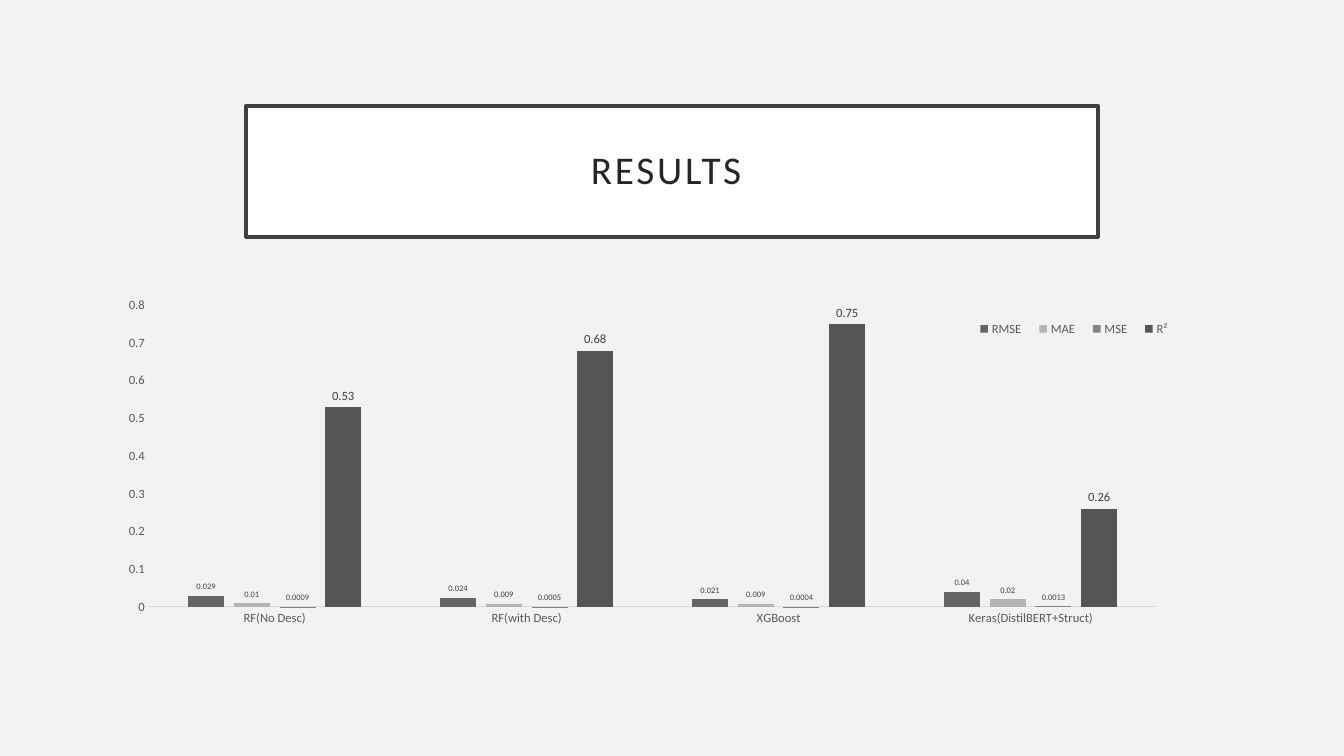
from lxml import etree
from pptx import Presentation
from pptx.chart.data import CategoryChartData
from pptx.dml.color import RGBColor
from pptx.enum.chart import XL_CHART_TYPE as ChartType
from pptx.enum.chart import XL_LABEL_POSITION as LabelPosition
from pptx.enum.chart import XL_LEGEND_POSITION as LegendPosition
from pptx.enum.chart import XL_TICK_MARK as TickMark
from pptx.enum.text import MSO_ANCHOR, PP_ALIGN
from pptx.oxml.ns import qn
from pptx.util import Inches, Pt

COLORS = {
    "background": "F2F2F2",
    "panel": "FFFFFF",
    "border": "404040",
    "title": "262626",
    "axis_text": "595959",
    "axis_line": "D9D9D9",
    "label": "404040",
}
FONT = "Calibri"
MODELS = ["RF(No Desc)", "RF(with Desc)", "XGBoost", "Keras(DistilBERT+Struct)"]
METRICS = [
    ("RMSE", [0.029, 0.024, 0.021, 0.04], "656565", 6),
    ("MAE", [0.01, 0.009, 0.009, 0.02], "B4B4B4", 6),
    ("MSE", [0.0009, 0.0005, 0.0004, 0.0013], "848484", 6),
    ("R²", [0.53, 0.68, 0.75, 0.26], "555555", 9),
]


def style_font(font, size, color):
    font.name = FONT
    font.size = Pt(size)
    font.color.rgb = RGBColor.from_string(color)


def place_part(part, index, inner, **shares):
    for old in part.findall(qn("c:layout")):
        part.remove(old)
    layout = etree.Element(qn("c:layout"))
    manual = etree.SubElement(layout, qn("c:manualLayout"))
    if inner:
        etree.SubElement(manual, qn("c:layoutTarget")).set("val", "inner")
    for mode in ("xMode", "yMode"):
        etree.SubElement(manual, qn("c:" + mode)).set("val", "edge")
    for side, share in shares.items():
        etree.SubElement(manual, qn("c:" + side)).set("val", str(share))
    part.insert(index, layout)


prs = Presentation()
prs.slide_width, prs.slide_height = Inches(13.33), Inches(7.5)
slide = prs.slides.add_slide(prs.slide_layouts[5])
slide.background.fill.solid()
slide.background.fill.fore_color.rgb = RGBColor.from_string(COLORS["background"])

title = slide.shapes.title
title.left, title.top = Inches(2.44), Inches(1.05)
title.width, title.height = Inches(8.45), Inches(1.3)
title.fill.solid()
title.fill.fore_color.rgb = RGBColor.from_string(COLORS["panel"])
title.line.color.rgb = RGBColor.from_string(COLORS["border"])
title.line.width = Pt(2.5)
frame = title.text_frame
frame.word_wrap = True
frame.vertical_anchor = MSO_ANCHOR.MIDDLE
frame.margin_left = frame.margin_right = Inches(0.2)
frame.margin_top = frame.margin_bottom = Inches(0.2)
heading = frame.paragraphs[0]
heading.alignment = PP_ALIGN.CENTER
heading.line_spacing = 0.9
heading_run = heading.add_run()
heading_run.text = "RESULTS "
style_font(heading_run.font, 28, COLORS["title"])
heading_run.font._element.set("spc", "200")

scores = CategoryChartData()
scores.categories = MODELS
for name, values, color, label_size in METRICS:
    scores.add_series(name, values)
chart = slide.shapes.add_chart(
    ChartType.COLUMN_CLUSTERED,
    Inches(1.06), Inches(2.89), Inches(11.22), Inches(3.39), scores,
).chart
chart.has_title = False
style_font(chart.font, 10, "000000")

bars = chart.plots[0]
bars.vary_by_categories = False
bars.gap_width = 219
bars.overlap = -27
for series, (name, values, color, label_size) in zip(bars.series, METRICS):
    series.format.fill.solid()
    series.format.fill.fore_color.rgb = RGBColor.from_string(color)
    series.invert_if_negative = False
    labels = series.data_labels
    labels.show_value = True
    labels.position = LabelPosition.OUTSIDE_END
    style_font(labels.font, label_size, COLORS["label"])

for axis in (chart.category_axis, chart.value_axis):
    axis.major_tick_mark = axis.minor_tick_mark = TickMark.NONE
    axis.has_major_gridlines = False
    style_font(axis.tick_labels.font, 9, COLORS["axis_text"])
model_line = chart.category_axis.format.line
model_line.color.rgb = RGBColor.from_string(COLORS["axis_line"])
model_line.width = Pt(0.75)
score_axis = chart.value_axis
score_axis.format.line.fill.background()
score_axis.minimum_scale, score_axis.maximum_scale = 0, 0.8
score_axis.major_unit = 0.1

chart.has_legend = True
legend = chart.legend
legend.position = LegendPosition.RIGHT
legend.include_in_layout = False
style_font(legend.font, 9, COLORS["axis_text"])

place_part(chart._chartSpace.find(".//" + qn("c:plotArea")), 0, True,
           x=0.037, y=0.041, w=0.891, h=0.883)
place_part(legend._element, 1, False, x=0.76, y=0.07, w=0.19, h=0.08)

prs.save("out.pptx")
